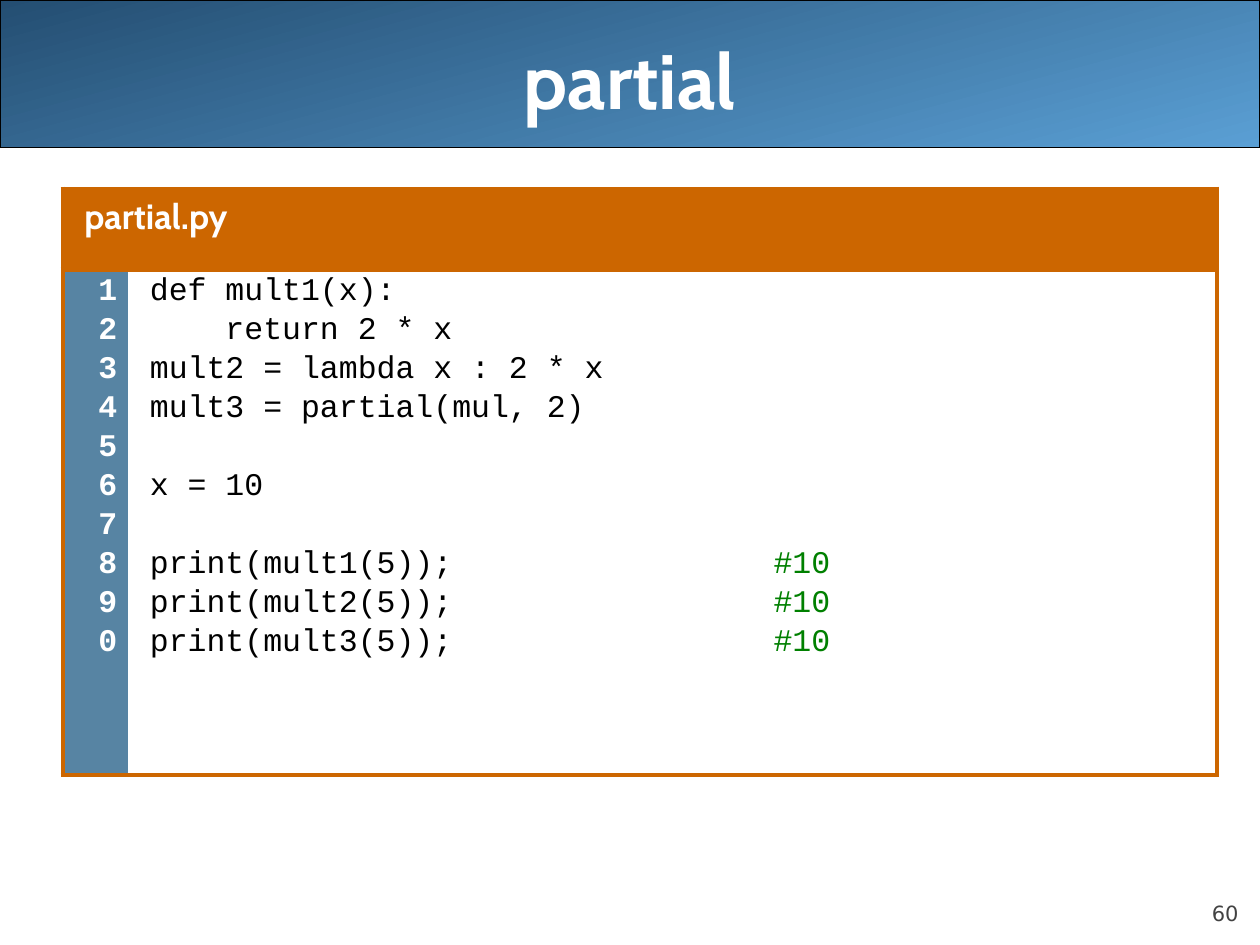
from lxml import etree
from pptx import Presentation
from pptx.dml.color import RGBColor
from pptx.enum.shapes import MSO_SHAPE
from pptx.enum.text import MSO_ANCHOR, PP_ALIGN
from pptx.oxml.ns import qn
from pptx.util import Inches, Pt

ROUNDED = MSO_SHAPE.ROUNDED_RECTANGLE
TOP, MIDDLE, BOTTOM = MSO_ANCHOR.TOP, MSO_ANCHOR.MIDDLE, MSO_ANCHOR.BOTTOM
LEFT, CENTER, RIGHT = PP_ALIGN.LEFT, PP_ALIGN.CENTER, PP_ALIGN.RIGHT

COLORS = {
    "banner_dark": "244E72",
    "banner_light": "5A9FD4",
    "black": "000000",
    "white": "FFFFFF",
    "orange": "CC6600",
    "gutter": "5784A3",
    "comment": "008000",
    "page": "424242",
}
HEADING_FONT, CODE_FONT, PAGE_FONT = "Cabin", "Courier New", "DejaVu Sans"
CODE_SIZE = 18
COMMENT_TAB = 4.95

# Each code line is its statement and an optional trailing comment
CODE = [
    ("def mult1(x):", ""),
    ("    return 2 * x", ""),
    ("mult2 = lambda x : 2 * x", ""),
    ("mult3 = partial(mul, 2)", ""),
    ("", ""),
    ("x = 10", ""),
    ("", ""),
    ("print(mult1(5));", "#10"),
    ("print(mult2(5));", "#10"),
    ("print(mult3(5));", "#10"),
]


def color(name):
    return RGBColor.from_string(COLORS[name])


class SlideBuilder:
    def __init__(self, slide):
        self.slide = slide

    def banner(self, left, top, width, height):
        shape = self.slide.shapes.add_shape(
            ROUNDED, Inches(left), Inches(top), Inches(width), Inches(height))
        shape.adjustments[0] = 0
        shape.shadow.inherit = False
        shape.fill.gradient()
        shape.fill.gradient_angle = 285
        for stop, name in zip(shape.fill.gradient_stops, ("banner_dark", "banner_light")):
            stop.color.rgb = color(name)
        shape.line.color.rgb = color("black")
        shape.line.width = Pt(0.75)

    def run(self, paragraph, text, font, size, color_name, bold=False):
        run = paragraph.add_run()
        run.text = text
        run.font.name = font
        run.font.size = Pt(size)
        run.font.bold = bold
        run.font.color.rgb = color(color_name)

    def text(self, box, text, font, size, color_name, bold, align, anchor, inset):
        shape = self.slide.shapes.add_textbox(*(Inches(value) for value in box))
        frame = shape.text_frame
        frame.word_wrap = True
        frame.vertical_anchor = anchor
        frame.margin_left = frame.margin_right = Inches(2 * inset)
        frame.margin_top = frame.margin_bottom = Inches(inset)
        paragraph = frame.paragraphs[0]
        paragraph.alignment = align
        self.run(paragraph, text, font, size, color_name, bold)

    def table(self, left, top, columns, rows):
        frame = self.slide.shapes.add_table(
            len(rows), len(columns), Inches(left), Inches(top),
            Inches(sum(columns)), Inches(sum(rows)))
        table = frame.table
        table.first_row = table.horz_banding = False
        for column, width in zip(table.columns, columns):
            column.width = Inches(width)
        for row, height in zip(table.rows, rows):
            row.height = Inches(height)
        return table

    def cell(self, cell, fill, sides, margin_left=0.17, margin_right=0.05):
        cell.fill.solid()
        cell.fill.fore_color.rgb = color(fill)
        cell.vertical_anchor = TOP
        cell.margin_left, cell.margin_right = Inches(margin_left), Inches(margin_right)
        cell.margin_top = cell.margin_bottom = Inches(0.05)
        properties = cell._tc.get_or_add_tcPr()
        for index, side in enumerate("LRTB"):
            line = etree.Element(qn(f"a:ln{side}"), w=str(Pt(3)))
            if side in sides:
                solid = etree.SubElement(line, qn("a:solidFill"))
                etree.SubElement(solid, qn("a:srgbClr"), val=COLORS["orange"])
            else:
                etree.SubElement(line, qn("a:noFill"))
            properties.insert(index, line)

    def code_line(self, cell, index, align=LEFT):
        frame = cell.text_frame
        paragraph = frame.add_paragraph() if index else frame.paragraphs[0]
        paragraph.alignment = align
        paragraph.line_spacing = 0.87
        paragraph.space_before = Pt(4.5 if index else 0)
        return paragraph

    def tab_stop(self, paragraph, position):
        tabs = etree.SubElement(paragraph._p.get_or_add_pPr(), qn("a:tabLst"))
        etree.SubElement(tabs, qn("a:tab"), pos=str(Inches(position)), algn="l")

    def blank_code_line(self, paragraph):
        end = etree.SubElement(paragraph._p, qn("a:endParaRPr"), sz=str(CODE_SIZE * 100))
        etree.SubElement(end, qn("a:latin"), typeface=CODE_FONT)

    def listing(self, table, lines):
        gutter, body = table.cell(1, 0), table.cell(1, 1)
        for index, (statement, comment) in enumerate(lines):
            number = self.code_line(gutter, index, RIGHT)
            self.run(number, str((index + 1) % 10), CODE_FONT, CODE_SIZE, "white", True)
            paragraph = self.code_line(body, index)
            if not statement:
                self.blank_code_line(paragraph)
                continue
            if comment:
                self.tab_stop(paragraph, COMMENT_TAB)
                statement += "\t"
            self.run(paragraph, statement, CODE_FONT, CODE_SIZE, "black")
            if comment:
                self.run(paragraph, comment, CODE_FONT, CODE_SIZE, "comment")


def main():
    presentation = Presentation()
    presentation.slide_width, presentation.slide_height = Inches(10), Inches(7.5)
    builder = SlideBuilder(presentation.slides.add_slide(presentation.slide_layouts[6]))

    # Banner, page number and title
    builder.banner(0, 0, 10, 1.17)
    builder.text((9, 6.95, 0.83, 0.4), "60", PAGE_FONT, 12, "page", False, RIGHT, BOTTOM, 0)
    builder.text((0, 0, 10, 1.25), "partial", HEADING_FONT, 44, "white", True,
                 CENTER, MIDDLE, 0.05)

    # Code table: file name above, line numbers and code below
    table = builder.table(0.5, 1.5, columns=(0.52, 8.64), rows=(0.64, 4.01))
    header = table.cell(0, 0)
    header.merge(table.cell(0, 1))
    for cell in table.rows[0].cells:
        builder.cell(cell, "orange", "LRTB")
    builder.run(header.text_frame.paragraphs[0], "partial.py", HEADING_FONT, 20, "white", True)
    builder.cell(table.cell(1, 0), "gutter", "LTB", margin_right=0.09)
    builder.cell(table.cell(1, 1), "white", "RTB", margin_right=0.18)
    builder.listing(table, CODE)

    presentation.save("out.pptx")


if __name__ == "__main__":
    main()
